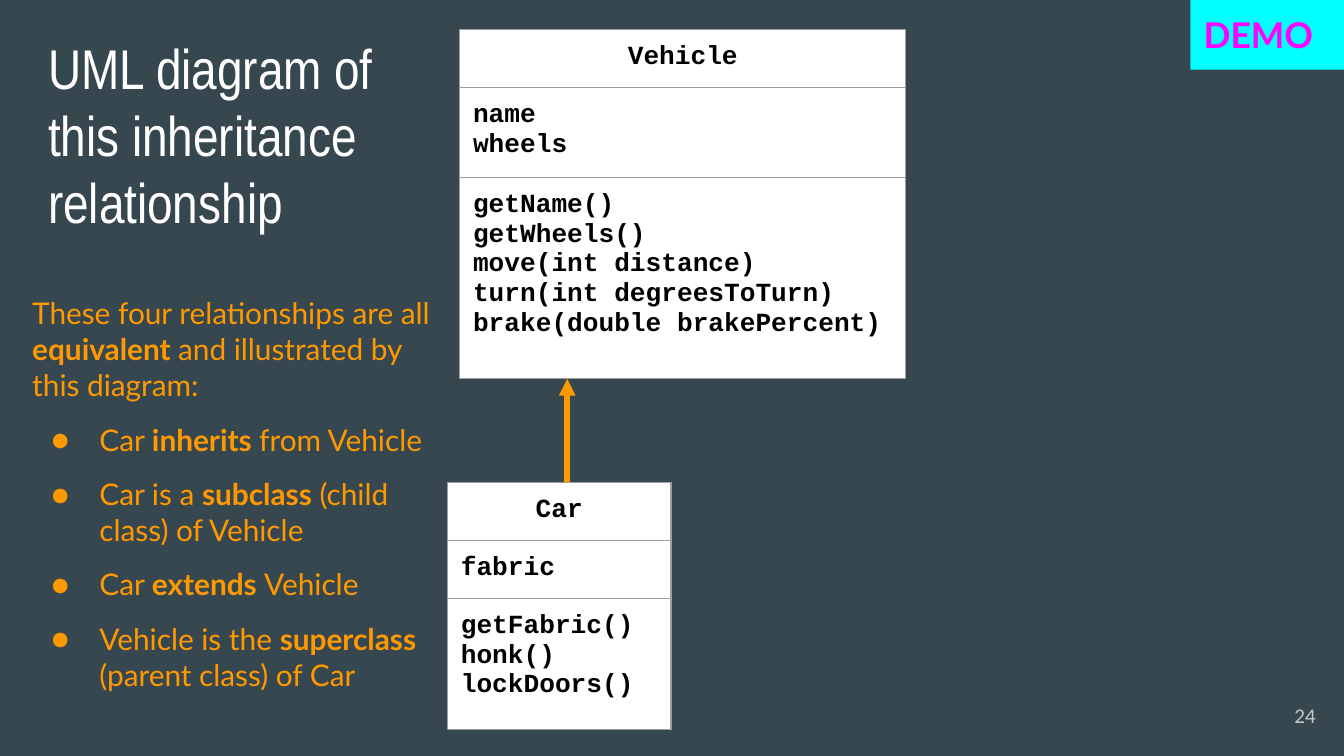
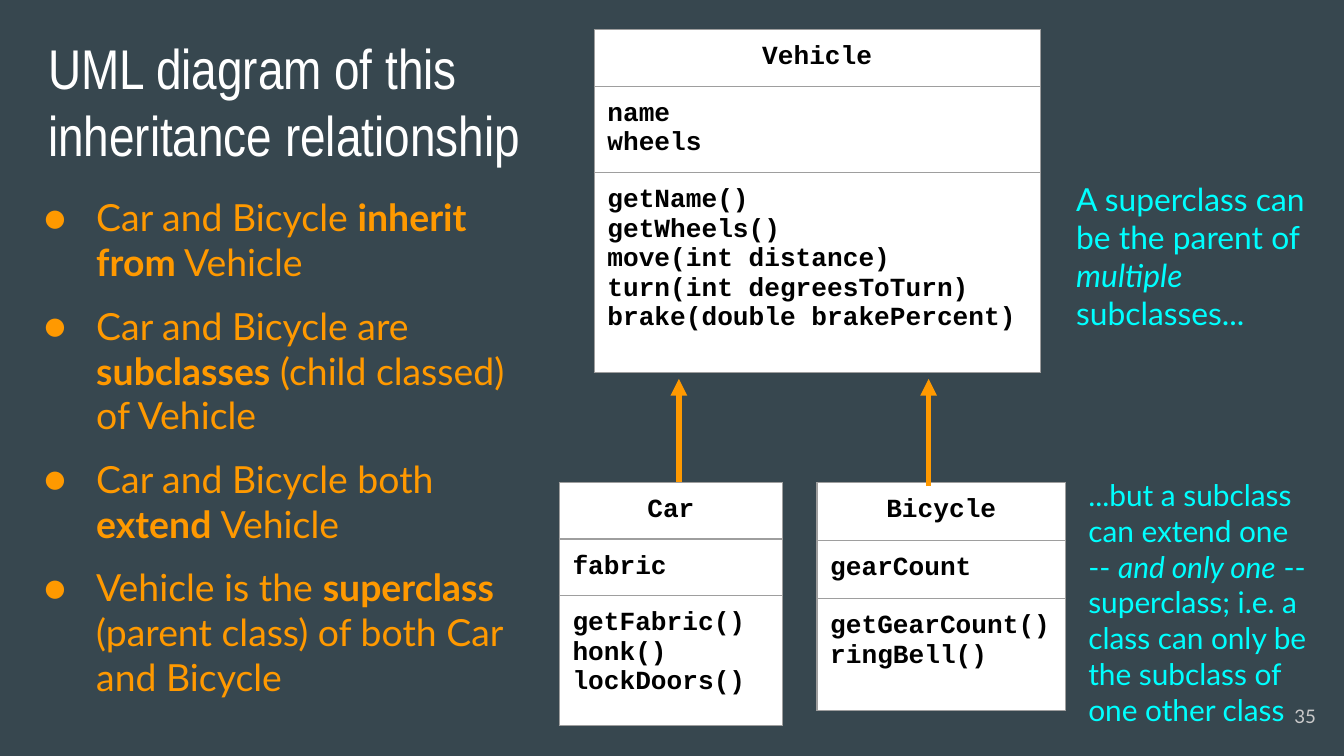
"""Build two UML inheritance slides with tables, arrows and notes."""
from pptx import Presentation
from pptx import util as u
from pptx.dml.color import RGBColor
from pptx.enum import shapes, text
from pptx.oxml import parse_xml
from pptx.oxml.ns import nsdecls

SLATE = RGBColor(0x37, 0x47, 0x4F)
WHITE = RGBColor(0xFF, 0xFF, 0xFF)
BLACK = RGBColor(0x00, 0x00, 0x00)
ORANGE = RGBColor(0xFF, 0x99, 0x00)
CYAN = RGBColor(0x00, 0xFF, 0xFF)
MAGENTA = RGBColor(0xFF, 0x00, 0xFF)
SILVER = RGBColor(0xCA, 0xCA, 0xCA)
GREY = RGBColor(0x9E, 0x9E, 0x9E)

TITLE = "UML diagram of this inheritance relationship"
VEHICLE = (
    ["Vehicle"],
    ["name", "wheels"],
    ["getName()", "getWheels()", "move(int distance)",
     "turn(int degreesToTurn)", "brake(double brakePercent)"],
)
CAR = (["Car"], ["fabric"], ["getFabric()", "honk()", "lockDoors()"])
BICYCLE = (["Bicycle"], ["gearCount"], ["getGearCount()", "ringBell()"])
TOP_ROW, BOTTOM_ROW = 0.56, 9.12


def element(markup):
    head, tail = markup.split(" ", 1) if " " in markup else (markup[:-2], "/>")
    return parse_xml(f"{head} {nsdecls('a')} {tail}")


def write(frame, lines, size, color, font="Lato", bold=False, emphasis="bold",
          align=text.PP_ALIGN.LEFT, bullets_from=None, hang=0.91):
    """Write lines into a frame; pieces between asterisks get the emphasis."""
    for index, line in enumerate(lines):
        paragraph = frame.paragraphs[0] if index == 0 else frame.add_paragraph()
        paragraph.alignment = align
        for number, piece in enumerate(line.split("*")):
            run = paragraph.add_run()
            run.text = piece
            run.font.name, run.font.size = font, u.Pt(size)
            run.font.color.rgb, run.font.bold = color, bold
            if number % 2:
                setattr(run.font, emphasis, True)
        if bullets_from is not None and index >= bullets_from:
            paragraph.space_before = u.Pt(10 if index else 0)
            paragraph.space_after = u.Pt(10 if index == len(lines) - 1 else 0)
            properties = paragraph._p.get_or_add_pPr()
            properties.set("marL", str(u.Cm(1.27)))
            properties.set("indent", str(-u.Cm(hang)))
            properties.append(element(f'<a:buClr ><a:srgbClr val="{color}"/></a:buClr>'))
            properties.append(element(f'<a:buFont typeface="{font}"/>'))
            properties.append(element('<a:buChar char="●"/>'))


class Deck:
    """Hold the shared style and the current slide."""
    padding = u.Cm(0.25)

    def __init__(self):
        self.presentation = Presentation()
        self.presentation.slide_width = u.Cm(25.4)
        self.presentation.slide_height = u.Cm(14.29)
        fill = self.presentation.slide_master.background.fill
        fill.solid()
        fill.fore_color.rgb = SLATE
        self.slide = None

    def prepare(self, frame, anchor=text.MSO_ANCHOR.TOP):
        frame.word_wrap = True
        frame.auto_size = text.MSO_AUTO_SIZE.NONE
        frame.vertical_anchor = anchor
        frame.margin_left = frame.margin_right = self.padding
        frame.margin_top = frame.margin_bottom = self.padding
        return frame

    def add_slide(self, number, title_width):
        layout = self.presentation.slide_layouts[5]
        self.slide = self.presentation.slides.add_slide(layout)
        title = self.slide.shapes.title
        title.left, title.top = u.Cm(0.66), u.Cm(0.38)
        title.width, title.height = u.Cm(title_width), u.Cm(4.39)
        write(self.prepare(title.text_frame), [TITLE], 30, WHITE, "Arial Narrow")
        self.add_text((23.6, 13, 1.52, 1.09), [str(number)], 10, SILVER,
                      anchor=text.MSO_ANCHOR.MIDDLE, align=text.PP_ALIGN.RIGHT)

    def add_text(self, box, lines, size, color, anchor=text.MSO_ANCHOR.TOP, **style):
        shape = self.slide.shapes.add_textbox(*map(u.Cm, box))
        write(self.prepare(shape.text_frame, anchor), lines, size, color, **style)

    def add_badge(self, box, label):
        shape = self.slide.shapes.add_shape(
            shapes.MSO_SHAPE.RECTANGLE, *map(u.Cm, box))
        shape.shadow.inherit = False
        shape.fill.solid()
        shape.fill.fore_color.rgb = CYAN
        shape.line.fill.background()
        write(self.prepare(shape.text_frame), [label], 19, MAGENTA, bold=True)

    def add_class_table(self, left, top, width, heights, sections):
        table = self.slide.shapes.add_table(
            len(sections), 1, u.Cm(left), u.Cm(top),
            u.Cm(width), u.Cm(sum(heights))).table
        table.first_row = table.horz_banding = False
        for index, (height, lines) in enumerate(zip(heights, sections)):
            table.rows[index].height = u.Cm(height)
            cell = table.cell(index, 0)
            cell.margin_left = cell.margin_right = self.padding
            cell.margin_top = cell.margin_bottom = self.padding
            cell.fill.solid()
            cell.fill.fore_color.rgb = WHITE
            align = text.PP_ALIGN.LEFT if index else text.PP_ALIGN.CENTER
            write(cell.text_frame, lines, 14, BLACK, "Courier New",
                  bold=True, align=align)
            properties = cell._tc.get_or_add_tcPr()
            for position, side in enumerate("LRTB"):
                properties.insert(position, element(
                    f'<a:ln{side} w="{u.Pt(0.75)}"><a:solidFill>'
                    f'<a:srgbClr val="{GREY}"/></a:solidFill></a:ln{side}>'))

    def add_arrow(self, x):
        connector = self.slide.shapes.add_connector(
            shapes.MSO_CONNECTOR.STRAIGHT, u.Cm(x), u.Cm(9.19), u.Cm(x), u.Cm(7.16))
        connector.line.color.rgb = ORANGE
        connector.line.width = u.Pt(3)
        connector.line._get_or_add_ln().append(element('<a:tailEnd type="triangle"/>'))
        connector._element.spPr.append(element("<a:effectLst/>"))


def add_single_subclass(deck):
    deck.add_slide(24, 6.81)
    deck.add_badge((22.5, 0, 2.9, 1.32), "DEMO")
    deck.add_class_table(8.69, TOP_ROW, 8.43, (1.1, 1.7, 3.8), VEHICLE)
    deck.add_arrow(10.72)
    deck.add_class_table(8.46, BOTTOM_ROW, 4.22, (1.1, 1.1, 2.47), CAR)
    deck.add_text((0.36, 5.33, 8.1, 8.1), [
        "These four relationships are all *equivalent *and illustrated by this diagram:",
        "Car *inherits *from Vehicle",
        "Car is a *subclass* (child class) of Vehicle",
        "Car *extends *Vehicle",
        "Vehicle is the *superclass *(parent class) of Car",
    ], 16, ORANGE, bullets_from=1)


def add_two_subclasses(deck):
    deck.add_slide(35, 9.65)
    deck.add_class_table(11.23, TOP_ROW, 8.43, (1.07, 1.63, 3.78), VEHICLE)
    deck.add_arrow(12.83)
    deck.add_class_table(10.57, BOTTOM_ROW, 4.22, (1.07, 1.07, 2.46), CAR)
    deck.add_text((0.3, 3.43, 9.93, 10.13), [
        "Car and Bicycle *inherit from* Vehicle",
        "Car and Bicycle are *subclasses* (child classed) of Vehicle",
        "Car and Bicycle both *extend *Vehicle",
        "Vehicle is the *superclass *(parent class) of both Car and Bicycle",
    ], 20, ORANGE, bullets_from=0, hang=0.99)
    deck.add_class_table(15.44, BOTTOM_ROW, 4.7, (1.1, 1.1, 2.11), BICYCLE)
    deck.add_arrow(17.55)
    deck.add_text((20.09, 3.15, 4.83, 3.43), [
        "A superclass can be the parent of *multiple *subclasses...",
    ], 17, CYAN, emphasis="italic")
    deck.add_text((20.32, 8.76, 4.7, 5.31), [
        "...but a subclass can extend one -- *and only one* -- superclass; "
        "i.e. a class can only be the subclass of one other class",
    ], 16, CYAN, emphasis="italic")


def main():
    deck = Deck()
    add_single_subclass(deck)
    add_two_subclasses(deck)
    deck.presentation.save("out.pptx")


if __name__ == "__main__":
    main()
